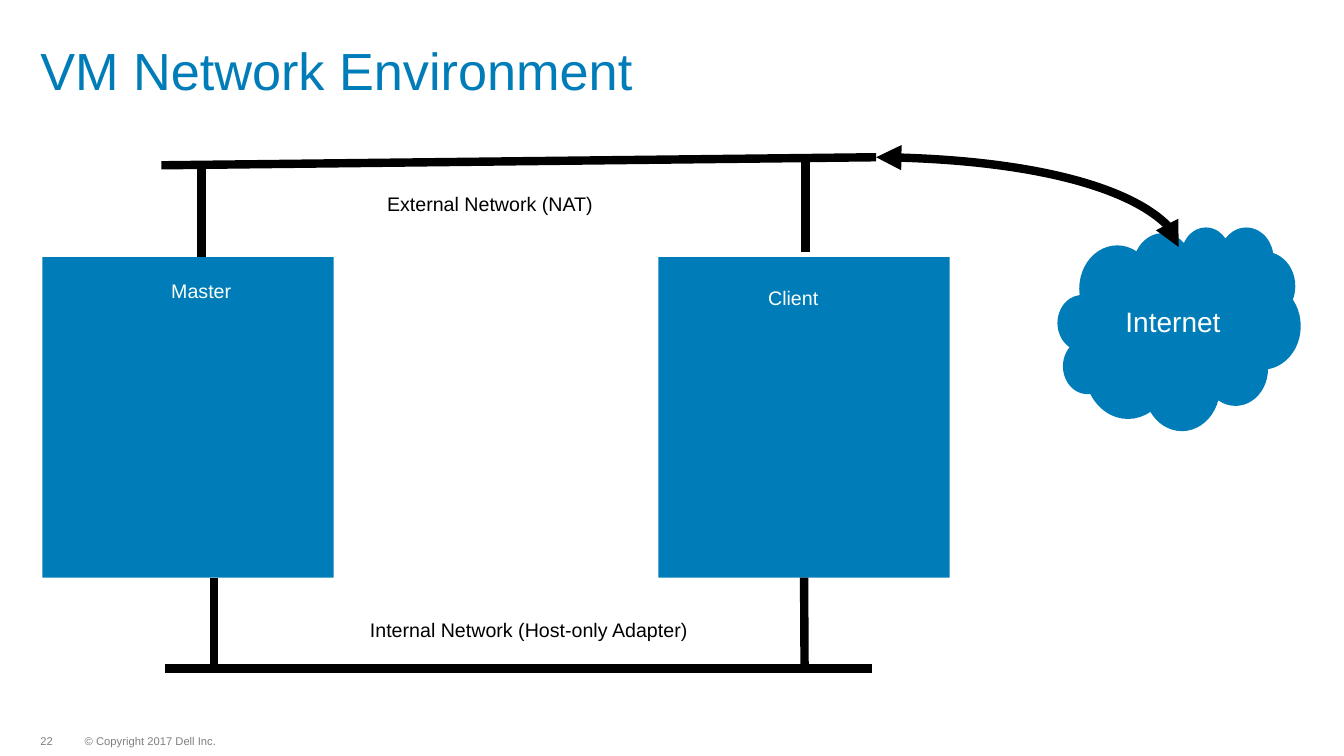
from dataclasses import dataclass

import lxml.etree
import pptx
import pptx.dml.color
import pptx.enum.shapes
import pptx.enum.text
import pptx.oxml.ns
import pptx.presentation
import pptx.shapes.autoshape
import pptx.shapes.connector
import pptx.slide
import pptx.text.text
import pptx.util

Inches = pptx.util.Inches
Pt = pptx.util.Pt
Kind = pptx.enum.shapes.MSO_SHAPE
Link = pptx.enum.shapes.MSO_CONNECTOR
Align = pptx.enum.text.PP_ALIGN
Anchor = pptx.enum.text.MSO_ANCHOR
Fit = pptx.enum.text.MSO_AUTO_SIZE
qn = pptx.oxml.ns.qn
Slide = pptx.slide.Slide
Shape = pptx.shapes.autoshape.Shape
Connector = pptx.shapes.connector.Connector


@dataclass(frozen=True)
class Theme:
    font: str = "Arial"
    blue: str = "007DB8"
    black: str = "000000"
    white: str = "FFFFFF"
    pale: str = "FDFFFB"
    gray: str = "7F7F7F"
    title: float = 37.3
    cloud: float = 20
    label: float = 14
    foot: float = 8
    line: float = 6


@dataclass(frozen=True)
class Box:
    left: float
    top: float
    width: float
    height: float


@dataclass(frozen=True)
class Label:
    text: str
    box: Box
    color: str


@dataclass(frozen=True)
class Wire:
    x1: float
    y1: float
    x2: float
    y2: float


THEME = Theme()
HOST_TOP, HOST_LOW = 2.55, 5.73
BUS_LOW = 6.63
MASTER = Box(0.42, HOST_TOP, 2.89, HOST_LOW - HOST_TOP)
CLIENT = Box(6.53, HOST_TOP, 2.89, HOST_LOW - HOST_TOP)
CLOUD = Box(10.49, 2.25, 2.41, 2.02)
DROP = Wire(7.98, HOST_LOW, 7.98, BUS_LOW)
WIRES = [
    Wire(1.64, BUS_LOW, 8.65, BUS_LOW),
    Wire(1.6, 1.64, 8.69, 1.56),
    Wire(2.12, HOST_LOW, 2.12, BUS_LOW),
    Wire(7.99, 1.6, 7.99, 2.5),
    Wire(2, 1.64, 2, HOST_TOP),
]
CURVE = Wire(8.69, 1.56, 11.69, 2.45)
LABELS = [
    Label("External Network (NAT)", Box(3.74, 1.86, 2.81, 0.34), THEME.black),
    Label("Internal Network (Host-only Adapter)", Box(3.57, 6.08, 3.45, 0.34), THEME.black),
    Label("Master", Box(1.6, 2.72, 0.93, 0.34), THEME.pale),
    Label("Client", Box(7.52, 2.79, 0.93, 0.34), THEME.pale),
]
NOTES = [
    Label("© Copyright 2017 Dell Inc.", Box(0.84, 7.3, 1.32, 0.12), THEME.gray),
    Label("22", Box(0.4, 7.3, 0.14, 0.12), THEME.gray),
]


def rgb(color: str) -> pptx.dml.color.RGBColor:
    return pptx.dml.color.RGBColor.from_string(color)


def span(box: Box) -> list[pptx.util.Length]:
    return [Inches(side) for side in (box.left, box.top, box.width, box.height)]


def write(frame: pptx.text.text.TextFrame, text: str, size: float, color: str,
          align: Align = Align.LEFT, space: float = 1.0) -> None:
    frame.text = text
    para = frame.paragraphs[0]
    para.alignment = align
    para.line_spacing = space
    para.font.name = THEME.font
    para.font.size = Pt(size)
    para.font.color.rgb = rgb(color)


def inset(frame: pptx.text.text.TextFrame, left: float, top: float,
          right: float, low: float) -> None:
    frame.margin_left, frame.margin_top = Inches(left), Inches(top)
    frame.margin_right, frame.margin_bottom = Inches(right), Inches(low)


def add_title(slide: Slide) -> None:
    title = slide.shapes.title
    title.left, title.top, title.width, title.height = span(Box(0.4, 0.4, 11.6, 0.93))
    frame = title.text_frame
    write(frame, "VM Network Environment", THEME.title, THEME.blue, space=0.9)
    inset(frame, 0, 0.05, 0, 0.05)
    frame.vertical_anchor = Anchor.TOP
    frame.auto_size = Fit.NONE


def add_block(slide: Slide, kind: Kind, box: Box) -> Shape:
    block = slide.shapes.add_shape(kind, *span(box))
    block.shadow.inherit = False
    block.fill.solid()
    block.fill.fore_color.rgb = rgb(THEME.blue)
    block.line.fill.background()
    return block


def add_cloud(slide: Slide) -> None:
    frame = add_block(slide, Kind.CLOUD, CLOUD).text_frame
    write(frame, "Internet", THEME.cloud, THEME.white, Align.CENTER, 0.9)
    inset(frame, 0.2, 0.15, 0.15, 0.15)
    frame.vertical_anchor = Anchor.MIDDLE


def add_wire(slide: Slide, wire: Wire, kind: Link = Link.STRAIGHT) -> Connector:
    ends = [Inches(end) for end in (wire.x1, wire.y1, wire.x2, wire.y2)]
    link = slide.shapes.add_connector(kind, *ends)
    link.line.width = Pt(THEME.line)
    link.line.color.rgb = rgb(THEME.black)
    lxml.etree.SubElement(link._element.spPr, qn("a:effectLst"))
    return link


def add_curve(slide: Slide) -> None:
    """Draw the quarter bend to the cloud, with an arrowhead at each end."""
    props = add_wire(slide, CURVE, Link.CURVE)._element.spPr
    props.find(qn("a:prstGeom")).set("prst", "curvedConnector2")
    for tag in ("a:headEnd", "a:tailEnd"):
        lxml.etree.SubElement(props.find(qn("a:ln")), qn(tag), type="triangle")


def add_label(slide: Slide, label: Label) -> None:
    frame = slide.shapes.add_textbox(*span(label.box)).text_frame
    frame.word_wrap = True
    write(frame, label.text, THEME.label, label.color)


def add_note(slide: Slide, note: Label) -> None:
    frame = slide.shapes.add_textbox(*span(note.box)).text_frame
    frame.word_wrap = False
    frame.vertical_anchor = Anchor.MIDDLE
    inset(frame, 0, 0, 0, 0)
    write(frame, note.text, THEME.foot, note.color, space=0.9)


def main() -> None:
    deck = pptx.Presentation()
    deck.slide_width, deck.slide_height = Inches(13.33), Inches(7.5)
    slide = deck.slides.add_slide(deck.slide_layouts.get_by_name("Title Only"))
    add_title(slide)
    for note in NOTES:
        add_note(slide, note)
    add_block(slide, Kind.RECTANGLE, MASTER)
    client = add_block(slide, Kind.RECTANGLE, CLIENT)
    for wire in WIRES:
        add_wire(slide, wire)
    add_wire(slide, DROP).begin_connect(client, 2)
    add_cloud(slide)
    add_curve(slide)
    for label in LABELS:
        add_label(slide, label)
    deck.save("out.pptx")


if __name__ == "__main__":
    main()
